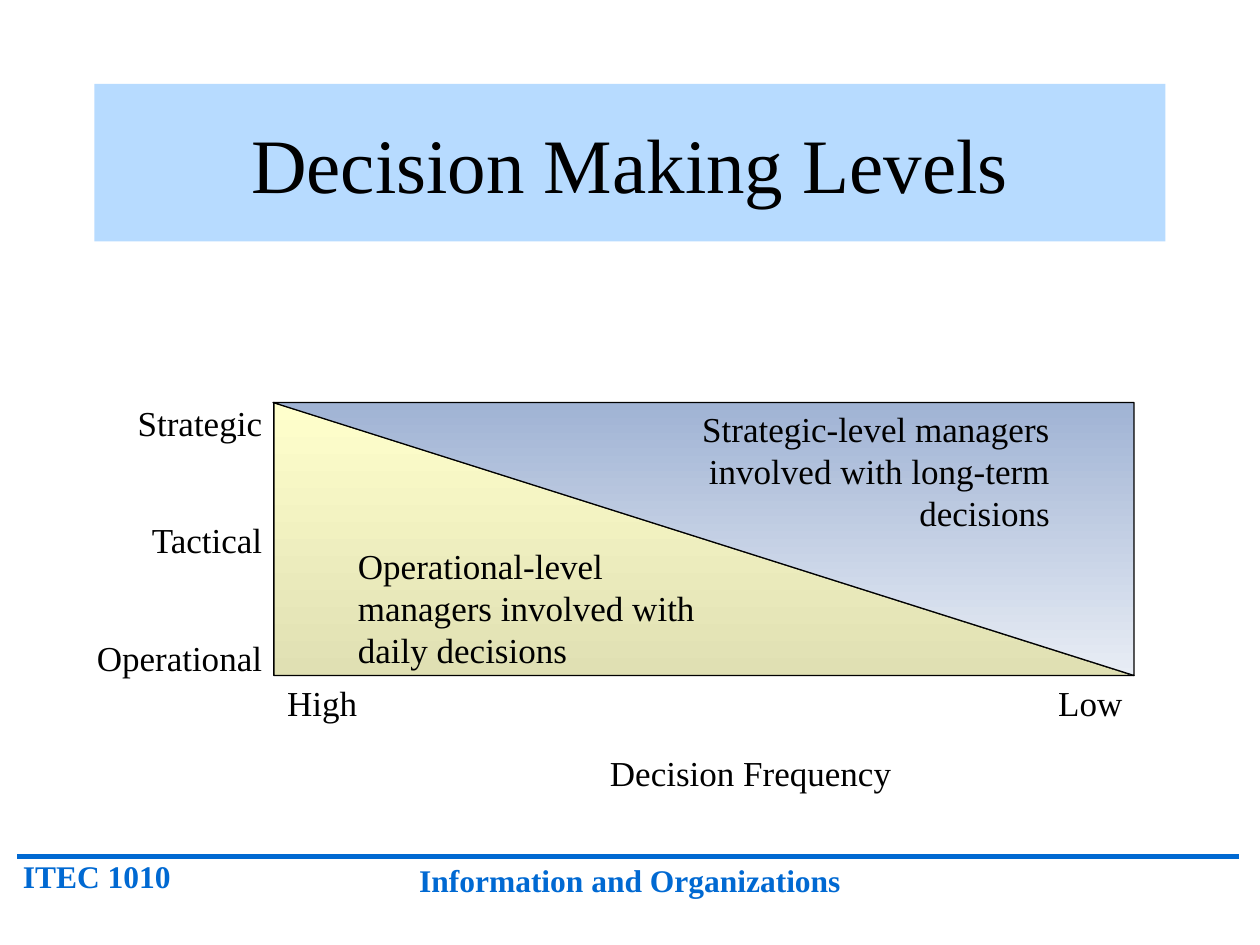
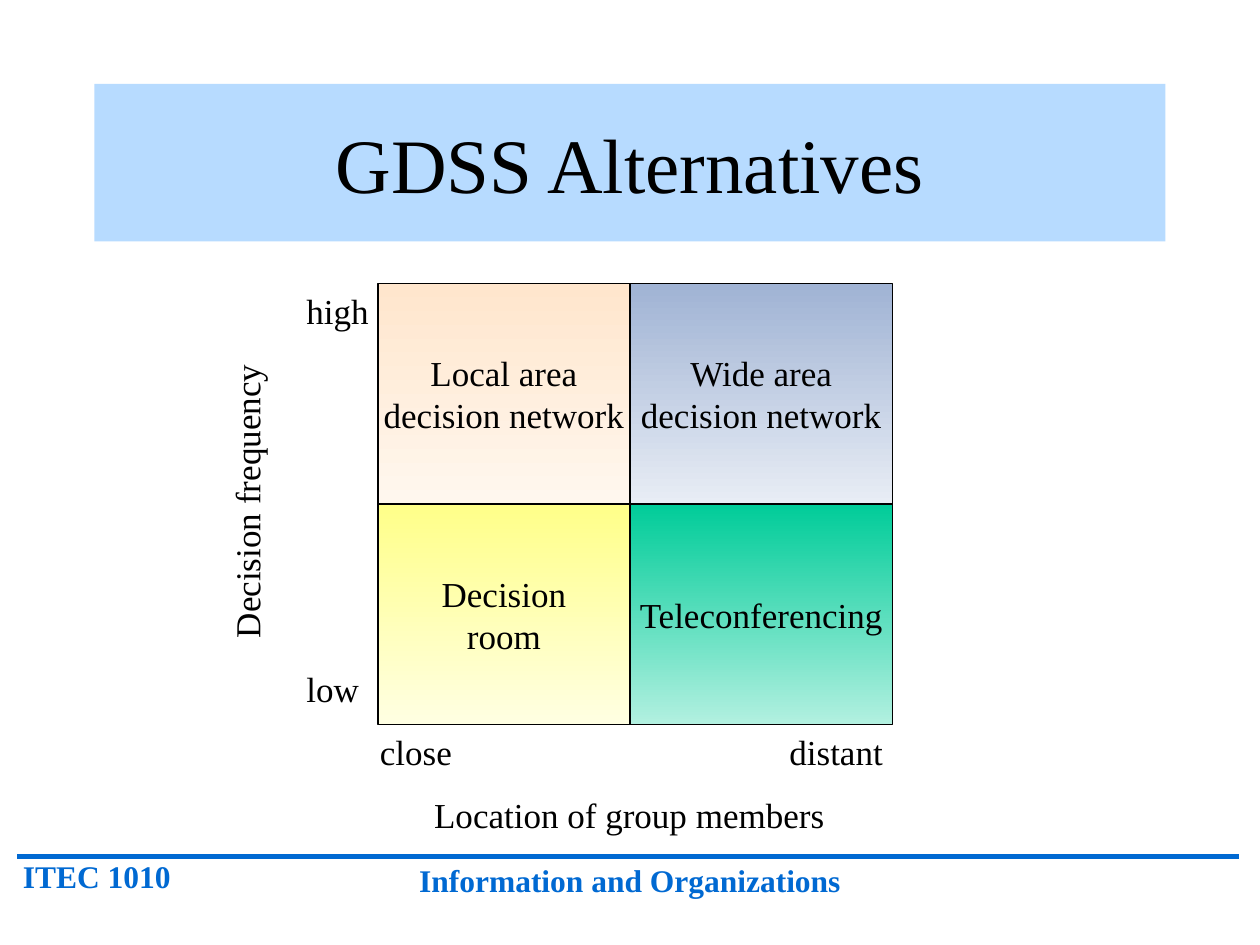
from dataclasses import dataclass

from lxml import etree
from pptx import Presentation
from pptx.dml.color import RGBColor
from pptx.enum.shapes import MSO_CONNECTOR, MSO_SHAPE
from pptx.enum.text import MSO_ANCHOR, PP_ALIGN
from pptx.oxml.ns import qn
from pptx.util import Pt

LEFT, CENTER, RIGHT = PP_ALIGN.LEFT, PP_ALIGN.CENTER, PP_ALIGN.RIGHT
TOP, MIDDLE = MSO_ANCHOR.TOP, MSO_ANCHOR.MIDDLE
RECTANGLE, TRIANGLE = MSO_SHAPE.RECTANGLE, MSO_SHAPE.RIGHT_TRIANGLE
STRAIGHT = MSO_CONNECTOR.STRAIGHT


@dataclass(frozen=True)
class Theme:
    font: str = "Times New Roman"
    title_size: int = 44
    body_size: int = 20
    footer_size: int = 18
    ink: str = "000000"
    footer: str = "0069D2"
    band: str = "B7DBFF"
    cream: tuple = ("FFFFCC", "E0E0B3")
    blue: tuple = ("A0B3D4", "E8EDF5")
    peach: tuple = ("FFE6CD", "FFF7EE")
    yellow: tuple = ("FFFF89", "FFFFE2")
    green: tuple = ("00CC99", "B2F0E0")


THEME = Theme()


def write(shape, lines, align=LEFT, anchor=TOP, size=THEME.body_size,
          color=THEME.ink, bold=False, wrap=True, gap=0):
    """Put one paragraph per line into the shape, with a gap in points after each."""
    frame = shape.text_frame
    frame.word_wrap = wrap
    frame.vertical_anchor = anchor
    for index, line in enumerate(lines):
        para = frame.add_paragraph() if index else frame.paragraphs[0]
        para.text = line
        para.alignment = align
        para.space_after = Pt(gap)
        para.font.name = THEME.font
        para.font.size = Pt(size)
        para.font.bold = bold
        para.font.color.rgb = RGBColor.from_string(color)


def add_block(page, kind, bounds, gradient, text, align=CENTER):
    """Add an outlined shape shaded from top to bottom, with text inside."""
    block = page.shapes.add_shape(kind, *map(Pt, bounds))
    block.shadow.inherit = False
    block.fill.gradient()
    block.fill.gradient_angle = 270
    for stop, color in zip(block.fill.gradient_stops, gradient):
        stop.color.rgb = RGBColor.from_string(color)
    block.line.color.rgb = RGBColor.from_string(THEME.ink)
    block.line.width = Pt(0.75)
    write(block, [text], align, MIDDLE, wrap=False)
    return block


deck = Presentation()
deck.slide_width, deck.slide_height = Pt(720), Pt(540)
blank = deck.slide_layouts[6]

# Shared frame: footer rule, footer texts and title band
pages = []
for title in ("Decision Making Levels", "GDSS Alternatives"):
    page = deck.slides.add_slide(blank)
    pages.append(page)
    rule = page.shapes.add_connector(STRAIGHT, Pt(10), Pt(489.5), Pt(708), Pt(489.5))
    rule.line.color.rgb = RGBColor.from_string(THEME.footer)
    rule.line.width = Pt(3)
    etree.SubElement(rule._element.spPr, qn("a:effectLst"))
    for text, bounds, align in (
        ("ITEC 1010", (6, 486, 120, 29), LEFT),
        ("Information and Organizations", (186, 488.5, 348, 29), CENTER),
    ):
        box = page.shapes.add_textbox(*map(Pt, bounds))
        write(box, [text], align, size=THEME.footer_size, color=THEME.footer, bold=True)
    band = page.shapes.add_shape(RECTANGLE, Pt(54), Pt(48), Pt(612), Pt(90))
    band.shadow.inherit = False
    band.fill.solid()
    band.fill.fore_color.rgb = RGBColor.from_string(THEME.band)
    band.line.fill.background()
    write(band, [title], CENTER, MIDDLE, size=THEME.title_size)

levels_page, options_page = pages

# Decision levels: two triangles that meet along the diagonal
add_block(levels_page, TRIANGLE, (156.5, 230, 491.5, 156), THEME.cream,
          "Operational-level\nmanagers involved with\ndaily decisions", LEFT)
strategic = add_block(levels_page, TRIANGLE, (156, 230, 492, 156), THEME.blue,
                      "Strategic-level managers\ninvolved with long-term\ndecisions", RIGHT)
strategic.rotation = 180
strategic._element.spPr.find(qn("a:gradFill")).set("rotWithShape", "0")
strategic.text_frame._txBody.bodyPr.set("rot", "10800000")

for text, bounds, align in (
    ("Low", (564.5, 386, 84, 31.5), RIGHT),
    ("High", (157, 386, 84, 31.5), LEFT),
    ("Decision Frequency", (306, 426, 246, 31.5), CENTER),
):
    write(levels_page.shapes.add_textbox(*map(Pt, bounds)), [text], align)

level_names = levels_page.shapes.add_textbox(Pt(48), Pt(226), Pt(109), Pt(166))
write(level_names, ["Strategic", "Tactical", "Operational"], RIGHT, wrap=False, gap=43)

# Alternatives: two by two grid
grid_left, grid_top, row_height = 216, 162, 126
column_widths = (144, 150)
options = (
    (("Local area\ndecision network", THEME.peach), ("Wide area\ndecision network", THEME.blue)),
    (("Decision\nroom", THEME.yellow), ("Teleconferencing", THEME.green)),
)
for row, cells in enumerate(options):
    for column, (text, gradient) in enumerate(cells):
        left = grid_left + sum(column_widths[:column])
        bounds = (left, grid_top + row * row_height, column_widths[column], row_height)
        add_block(options_page, RECTANGLE, bounds, gradient, text)

# Axis labels start at the left of their boxes, which leave the text room to spare
for text, bounds, rotation in (
    ("Location of group members", (241, 450, 244, 31.5), 0),
    ("close", (210, 414, 62, 31.5), 0),
    ("distant", (444, 414, 74, 31.5), 0),
    ("high", (168, 162, 54, 31.5), 0),
    ("low", (168, 378, 54, 31.5), 0),
    ("Decision frequency", (55.5, 270.5, 171, 31.5), 270),
):
    label = options_page.shapes.add_textbox(*map(Pt, bounds))
    label.rotation = rotation
    write(label, [text])

deck.save("out.pptx")
